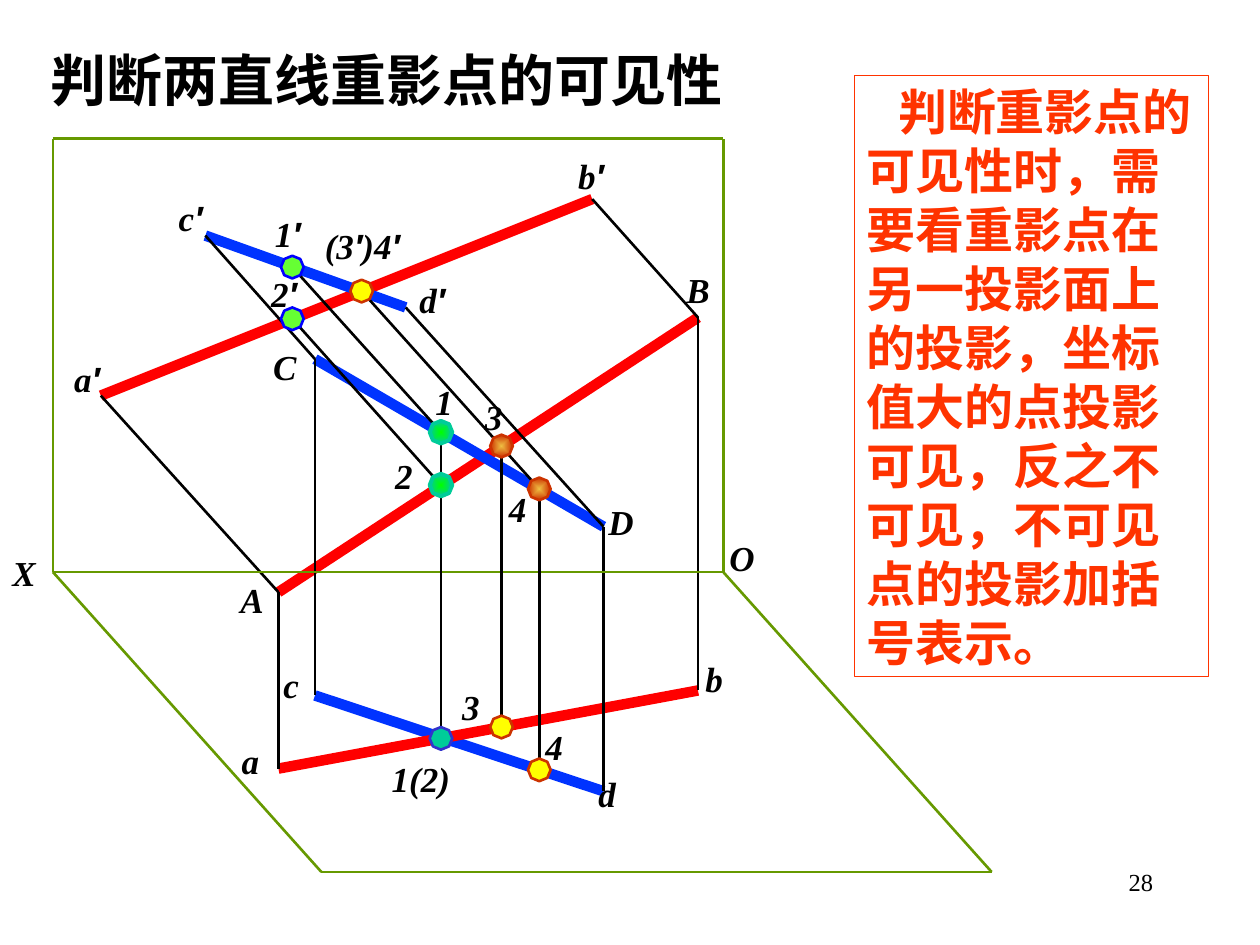
"""Build a slide on judging the visibility of coincident projection points."""
import math

from lxml import etree
from pptx import Presentation
from pptx import util as u
from pptx.dml.color import RGBColor
from pptx.enum import shapes, text
from pptx.oxml import ns

LATIN, CJK, PRIME = "Times New Roman", "Noto Sans CJK SC", "Arial"
BLACK, RED, BLUE, GREEN, ORANGE = "000000", "FF0000", "0033FF", "669900", "FF3300"

TITLE = "判断两直线重影点的可见性"
NOTE = ("判断重影点的可见性时，需要看重影点在另一投影面上的投影，"
        "坐标值大的点投影可见，反之不可见，不可见点的投影加括号表示。")

POINTS = {
    "A": (2.21, 4.7), "B": (5.54, 2.52), "C": (2.5, 2.85), "D": (4.79, 4.18),
    "a": (2.21, 6.1), "b": (5.54, 5.48), "c": (2.5, 5.52), "d": (4.79, 6.28),
    "a′": (0.8, 3.14), "b′": (4.7, 1.58), "c′": (1.63, 1.87), "d′": (3.22, 2.44),
    "1": (3.5, 3.43), "2": (3.5, 3.85), "3": (3.98, 3.54), "4": (4.28, 3.88),
    "1′": (2.32, 2.12), "2′": (2.32, 2.53), "4′": (2.87, 2.31),
    "1(2)": (3.5, 5.86), "3 plan": (3.98, 5.77), "4 plan": (4.28, 6.11),
    "X": (0.42, 4.54), "O": (5.74, 4.54), "X top": (0.42, 1.1), "O top": (5.74, 1.1),
    "X front": (2.55, 6.92), "O front": (7.87, 6.92),
}

LINES = [
    (RED, 6, [("a′", "b′")]),
    (BLUE, 6, [("c", "d")]),
    (RED, 6, [("a", "b")]),
    (BLUE, 6, [("c′", "d′")]),
    (RED, 6, [("A", "B")]),
    (BLUE, 6, [("C", "D")]),
    (BLACK, 1.5, [("d′", "D"), ("C", "c"), ("a′", "A"), ("A", "a"),
                  ("c′", "C"), ("B", "b"), ("D", "d"), ("b′", "B")]),
    (GREEN, 1.5, [("X top", "O top"), ("X", "O"), ("X", "X top"), ("X", "X front"),
                  ("O", "O top"), ("O", "O front"), ("X front", "O front")]),
    (BLACK, 1.5, [("4′", "4"), ("1", "1(2)"), ("4", "4 plan"), ("3", "3 plan"),
                  ("2′", "2"), ("1′", "1")]),
]

DOTS = [
    (["4′", "3 plan", "4 plan"], ["FFFF00"], "CC3300", 1.5),
    (["1(2)"], ["00CC99"], "3333CC", 1.5),
    (["3", "4"], ["EFBE43", "CC3300"], "CC3300", 1.5),
    (["1′", "2′"], ["66FF33"], "0000FF", 1.5),
    (["2", "1"], ["00FF00", "00CC99"], "00CC99", 2.25),
]
DOT_RADIUS = 0.09

LABELS = [
    ("X", 0, 4.33, 0.43), ("O", 5.69, 4.21, 0.72), ("B", 5.35, 2.08, 0.76),
    ("D", 4.73, 3.92, 0.76), ("A", 1.81, 4.54, 0.76), ("C", 2.07, 2.69, 0.76),
    ("b", 5.5, 5.17, 0.35), ("b′", 4.49, 1.18, 0.89), ("a", 1.82, 5.82, 0.35),
    ("a′", 0.49, 2.79, 0.63), ("c′", 1.32, 1.51, 0.68), ("c", 2.15, 5.22, 0.55),
    ("d", 4.65, 6.08, 0.58), ("d′", 3.23, 2.16, 0.58), ("(3′)4′", 2.48, 1.73, 1.34),
    ("1(2)", 3.01, 5.96, 1.34), ("4", 4.23, 5.71, 0.38), ("3", 3.57, 5.39, 0.38),
    ("3", 3.75, 3.09, 0.38), ("4", 3.94, 3.82, 0.39),
]
CENTRED_LABELS = [
    ("1′", 1.98, 1.64, 0.61), ("2′", 1.95, 2.11, 0.61),
    ("1", 3.22, 2.97, 0.61), ("2", 2.88, 3.56, 0.65),
]


def color(value):
    return RGBColor.from_string(value)


def add_text(shape, content, size=20, font=LATIN, fill=BLACK, bold=True, italic=False,
             align=text.PP_ALIGN.LEFT, anchor=text.MSO_ANCHOR.TOP, indent=0, spacing=None):
    frame = shape.text_frame
    frame.word_wrap = True
    frame.vertical_anchor = anchor
    paragraph = frame.paragraphs[0]
    paragraph.alignment = align
    if spacing:
        paragraph.line_spacing = u.Pt(spacing)
    if indent:
        properties = paragraph._p.get_or_add_pPr()
        properties.set("marL", "0")
        properties.set("indent", str(u.Inches(indent)))
    for part in content.replace("′", "|′|").split("|"):
        if not part:
            continue
        run = paragraph.add_run()
        run.text = part
        run.font.name = PRIME if part == "′" else font
        run.font.size = u.Pt(size)
        run.font.bold = bold
        run.font.italic = italic
        run.font.color.rgb = color(fill)
        latin = run._r.rPr.find(ns.qn("a:latin"))
        east_asian = etree.Element(ns.qn("a:ea"), typeface=CJK)
        latin.addnext(east_asian)


def add_box(slide, content, left, top, width, height=0.44, **style):
    box = slide.shapes.add_textbox(*map(u.Inches, (left, top, width, height)))
    add_text(box, content, **style)


def add_line(slide, start, end, stroke, weight):
    ends = map(u.Inches, POINTS[start] + POINTS[end])
    line = slide.shapes.add_connector(shapes.MSO_CONNECTOR.STRAIGHT, *ends)
    line.line.color.rgb = color(stroke)
    line.line.width = u.Pt(weight)
    etree.SubElement(line._element.spPr, ns.qn("a:effectLst"))


def add_dot(slide, name, fills, stroke, weight):
    x, y = POINTS[name]
    corners = [(u.Inches(x + DOT_RADIUS * math.cos(step * math.pi / 4)),
                u.Inches(y + DOT_RADIUS * math.sin(step * math.pi / 4)))
               for step in range(8)]
    builder = slide.shapes.build_freeform(*corners[0])
    builder.add_line_segments(corners[1:], close=True)
    dot = builder.convert_to_shape()
    dot.shadow.inherit = False
    if len(fills) == 1:
        dot.fill.solid()
        dot.fill.fore_color.rgb = color(fills[0])
    else:
        dot.fill.gradient()
        for stop, position, value in zip(dot.fill.gradient_stops, (0, 1), fills):
            stop.position = position
            stop.color.rgb = color(value)
        linear = dot._element.spPr.find(".//" + ns.qn("a:lin"))
        radial = etree.Element(ns.qn("a:path"), path="rect")
        etree.SubElement(radial, ns.qn("a:fillToRect"), l="50000", t="50000", r="50000", b="50000")
        linear.getparent().replace(linear, radial)
    dot.line.color.rgb = color(stroke)
    dot.line.width = u.Pt(weight)


def add_note(slide):
    note = slide.shapes.add_shape(shapes.MSO_SHAPE.RECTANGLE,
                                  *map(u.Inches, (6.78, 0.6, 2.81, 4.77)))
    note.shadow.inherit = False
    note.fill.background()
    note.line.color.rgb = color(ORANGE)
    note.line.width = u.Pt(0.75)
    add_text(note, NOTE, size=28, font=CJK, fill=ORANGE, indent=0.25, spacing=33.7)


def main():
    presentation = Presentation()
    presentation.slide_width, presentation.slide_height = u.Inches(10), u.Inches(7.5)
    slide = presentation.slides.add_slide(presentation.slide_layouts[6])
    add_box(slide, TITLE, 0.3, 0, 8.5, 1.25, size=32, anchor=text.MSO_ANCHOR.MIDDLE)
    for stroke, weight, pairs in LINES:
        for start, end in pairs:
            add_line(slide, start, end, stroke, weight)
    for names, fills, stroke, weight in DOTS:
        for name in names:
            add_dot(slide, name, fills, stroke, weight)
    for labels, align in ((LABELS, text.PP_ALIGN.LEFT), (CENTRED_LABELS, text.PP_ALIGN.CENTER)):
        for label, left, top, width in labels:
            add_box(slide, label, left, top, width, italic=True, align=align)
    add_note(slide)
    add_box(slide, "28", 7.17, 6.83, 2.08, 0.5, size=14, bold=False, align=text.PP_ALIGN.RIGHT)
    presentation.save("out.pptx")


if __name__ == "__main__":
    main()
